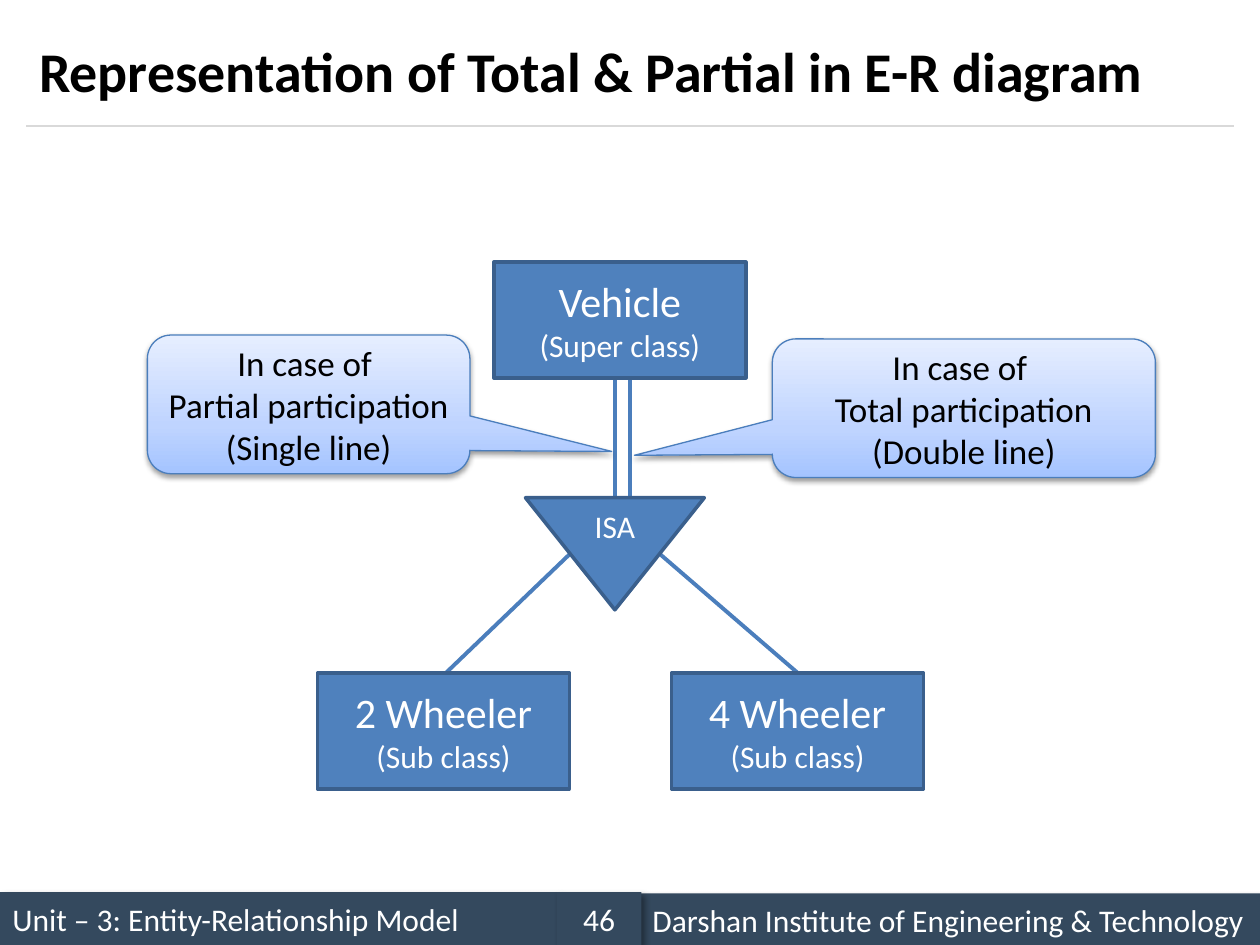
from copy import deepcopy

from lxml.etree import SubElement
from pptx import Presentation
from pptx.dml.color import RGBColor
from pptx.enum.shapes import MSO_CONNECTOR, MSO_SHAPE
from pptx.enum.text import MSO_ANCHOR, PP_ALIGN
from pptx.oxml.ns import qn
from pptx.util import Inches, Pt

WHITE = RGBColor(0xFF, 0xFF, 0xFF)
BLACK = RGBColor(0, 0, 0)
SLATE = RGBColor(0x34, 0x49, 0x5E)
GREY = RGBColor(0xD9, 0xD9, 0xD9)
BLUE = RGBColor(0x4F, 0x81, 0xBD)
EDGE = RGBColor(0x3A, 0x5F, 0x8C)
LINK = RGBColor(0x4B, 0x7E, 0xBC)
BLEND = [(0, RGBColor(0xA4, 0xC4, 0xFF)),
         (0.35, RGBColor(0xBF, 0xD4, 0xFF)),
         (1, RGBColor(0xE6, 0xEE, 0xFF))]
FONT = "Calibri"

# Diagram grid in inches
BOX_W, BOX_H = 2, 0.92
TOP_Y, ISA_Y, SUB_Y = 2.08, 3.95, 5.34
ISA_X, ISA_W, ISA_H = 4.17, 1.42, 0.89


def write(shape, lines, color, align=PP_ALIGN.CENTER):
    """Fill a shape with (text, size) lines."""
    frame = shape.text_frame
    frame.word_wrap = True
    frame.vertical_anchor = MSO_ANCHOR.MIDDLE
    for i, (text, size) in enumerate(lines):
        para = frame.paragraphs[0] if i == 0 else frame.add_paragraph()
        para.text = text
        para.alignment = align
        para.font.name = FONT
        para.font.size = Pt(size)
        para.font.color.rgb = color


def add_shape(slide, kind, at, fill=None, line=None, width=2):
    shape = slide.shapes.add_shape(kind, *map(Inches, at))
    shape.shadow.inherit = False
    if fill is not None:
        shape.fill.solid()
        shape.fill.fore_color.rgb = fill
    if line is None:
        shape.line.fill.background()
    else:
        shape.line.color.rgb = line
        shape.line.width = Pt(width)
    return shape


def add_shadow(shape, alpha, blur, dist, angle):
    effects = shape._element.spPr.find(qn("a:effectLst"))
    outer = SubElement(effects, qn("a:outerShdw"), blurRad=str(Pt(blur)),
                       dist=str(Pt(dist)), dir=str(angle * 60000),
                       rotWithShape="0")
    color = SubElement(outer, qn("a:srgbClr"), val=str(BLACK))
    SubElement(color, qn("a:alpha"), val=str(alpha * 1000))


def add_blend(shape):
    """Three-stop gradient running from bottom to top."""
    shape.fill.gradient()
    shape.fill.gradient_angle = 90
    stops = shape._element.spPr.find(qn("a:gradFill")).find(qn("a:gsLst"))
    stops.insert(1, deepcopy(stops[0]))
    for stop, (place, color) in zip(shape.fill.gradient_stops, BLEND):
        stop.position = place
        stop.color.rgb = color


def add_line(slide, start, end, color=LINK, width=2.25):
    line = slide.shapes.add_connector(
        MSO_CONNECTOR.STRAIGHT, *map(Inches, start + end))
    line.line.color.rgb = color
    line.line.width = Pt(width)
    SubElement(line._element.spPr, qn("a:effectLst"))


def add_class(slide, x, y, name, role):
    box = add_shape(slide, MSO_SHAPE.RECTANGLE, (x, y, BOX_W, BOX_H),
                    BLUE, EDGE)
    write(box, [(name, 24), (role, 18)], WHITE)


def add_note(slide, at, tip, kind, style):
    note = add_shape(slide, MSO_SHAPE.ROUNDED_RECTANGULAR_CALLOUT, at,
                     line=LINK, width=0.75)
    for i, value in enumerate(tip):
        note.adjustments[i] = value
    add_blend(note)
    add_shadow(note, 38, 3.1, 1.6, 90)
    lines = ("In case of ", f"{kind} participation", f"({style} line)")
    write(note, [(text, 20) for text in lines], BLACK)


def add_footer(slide, x, y, width, text, align=PP_ALIGN.LEFT):
    bar = add_shape(slide, MSO_SHAPE.RECTANGLE, (x, y, width, 0.42), SLATE)
    add_shadow(bar, 40, 4, 3, 45)
    write(bar, [(text, 18)], WHITE, align)


def add_title(slide, text):
    title = slide.shapes.title
    title.left, title.top = Inches(0.21), Inches(0.12)
    title.width, title.height = Inches(9.58), Inches(0.88)
    write(title, [(text, 32)], BLACK, PP_ALIGN.LEFT)
    title.text_frame.paragraphs[0].font.bold = True


def main():
    deck = Presentation()
    deck.slide_width, deck.slide_height = Inches(10), Inches(7.5)
    slide = deck.slides.add_slide(deck.slide_layouts[5])

    # Footer, rule and title
    add_footer(slide, 0, 7.08, 4.42, "Unit – 3: Entity-Relationship Model")
    add_footer(slide, 5.08, 7.09, 4.92,
               "Darshan Institute of Engineering & Technology")
    add_footer(slide, 4.42, 7.08, 0.67, "46", PP_ALIGN.CENTER)
    add_line(slide, (0.21, 1), (9.79, 1), GREY, 0.75)
    add_title(slide, "Representation of Total & Partial in E-R diagram")

    # Links: double line above, one line to each sub class
    for x in (4.88, 5):
        add_line(slide, (x, TOP_Y + BOX_H), (x, ISA_Y))
    side_y = ISA_Y + ISA_H / 2
    for share, x in ((0.25, 3.54), (0.75, 6.33)):
        add_line(slide, (ISA_X + ISA_W * share, side_y), (x, SUB_Y))

    # Classes and the ISA triangle
    add_class(slide, 3.92, TOP_Y, "Vehicle", "(Super class)")
    add_class(slide, 2.52, SUB_Y, "2 Wheeler", "(Sub class)")
    add_class(slide, 5.33, SUB_Y, "4 Wheeler", "(Sub class)")
    isa = add_shape(slide, MSO_SHAPE.FLOWCHART_MERGE,
                    (ISA_X, ISA_Y, ISA_W, ISA_H), BLUE, EDGE)
    write(isa, [("ISA", 18)], WHITE)

    # Callouts
    add_note(slide, (1.17, 2.66, 2.56, 1.1), (0.94, 0.34, 0.17),
             "Partial", "Single")
    add_note(slide, (6.13, 2.69, 3.04, 1.1), (-0.86, 0.34, 0.17),
             "Total", "Double")

    deck.save("out.pptx")


if __name__ == "__main__":
    main()
